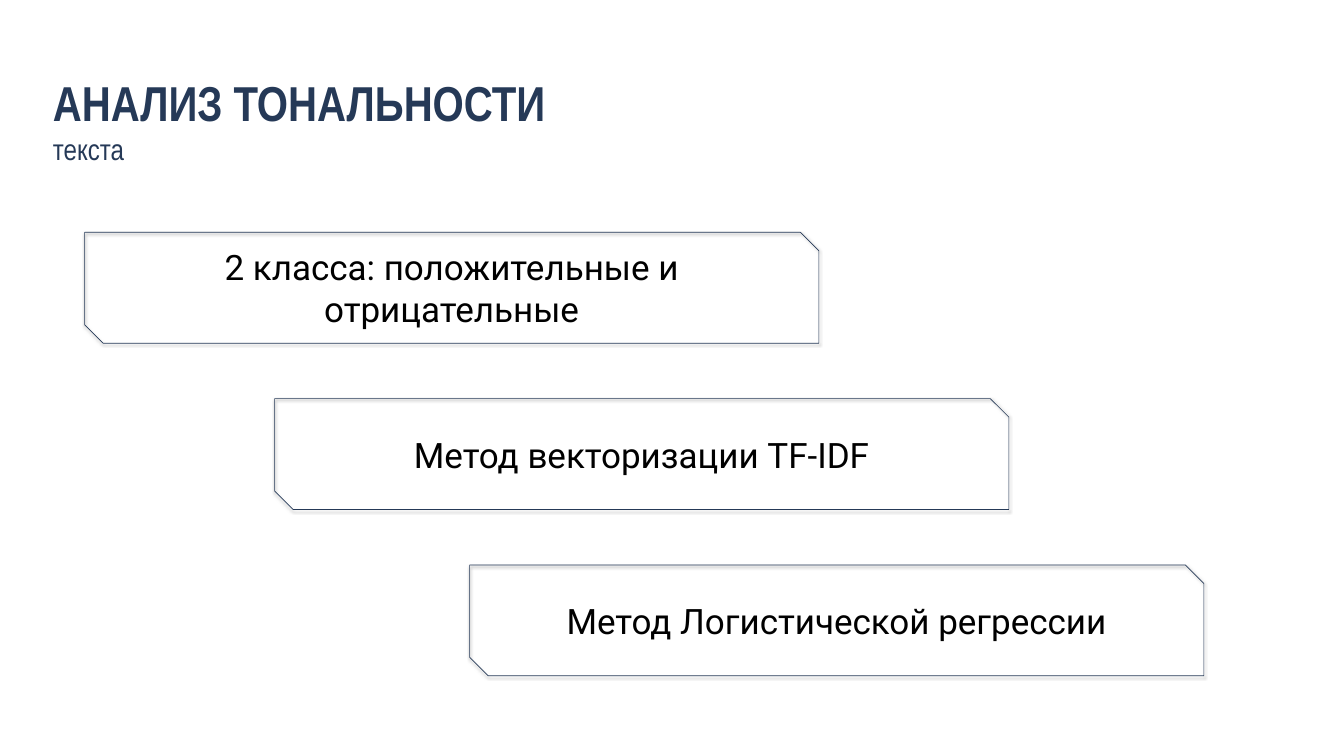
from lxml import etree
from pptx import Presentation
from pptx import util as u
from pptx.dml.color import RGBColor
from pptx.enum import shapes, text
from pptx.oxml.ns import qn

TITLE = ["АНАЛИЗ ТОНАЛЬНОСТИ", "текста"]
STEPS = [  # text, left edge of its card
    ("2 класса: положительные и отрицательные", 1.68),
    ("Метод векторизации TF-IDF", 5.45),
    ("Метод Логистической регрессии", 9.32),
]

THEME = {
    "navy": RGBColor.from_string("253957"),
    "black": RGBColor.from_string("000000"),
    "head": "Arial Narrow",
    "body": "Roboto",
    "sizes": {"title": 70, "sub": 42, "card": 50},
}
WIDE, HIGH = 26.67, 15
CARD_W, CARD_H = 14.57, 2.2
TOP, PITCH = 4.61, 3.3
TEXT_W, TEXT_H = 13.94, 1
PAD = 0.08


def put(slide, box, lines, anchor, align):
    """Add a text box; each line is (words, font values, colour)."""
    frame = slide.shapes.add_textbox(*map(u.Inches, box)).text_frame
    frame.word_wrap = True
    frame.vertical_anchor = anchor
    for side in ("left", "top", "right", "bottom"):
        setattr(frame, f"margin_{side}", u.Inches(PAD))
    for i, (words, form, tint) in enumerate(lines):
        para = frame.add_paragraph() if i else frame.paragraphs[0]
        para.alignment = align
        run = para.add_run()
        run.text = words
        for key, value in form.items():
            setattr(run.font, key, value)
        run.font.color.rgb = tint


def shade(shape):
    """Give the shape a soft black shadow straight below it."""
    shape.shadow.inherit = False
    effects = shape._element.spPr.find(qn("a:effectLst"))
    cast = etree.SubElement(effects, qn("a:outerShdw"), blurRad=str(u.Pt(4)),
                            dist=str(u.Pt(2)), dir="5400000", rotWithShape="0")
    tint = etree.SubElement(cast, qn("a:srgbClr"), val=str(THEME["black"]))
    etree.SubElement(tint, qn("a:alpha"), val="50000")


def card(slide, left, top, words):
    shape = slide.shapes.add_shape(shapes.MSO_SHAPE.SNIP_2_DIAG_RECTANGLE,
                                   *map(u.Inches, (left, top, CARD_W, CARD_H)))
    shape.fill.background()
    shape.line.color.rgb = THEME["navy"]
    shape.line.width = u.Pt(1)
    shade(shape)
    box = (left + (CARD_W - TEXT_W) / 2, top + (CARD_H - TEXT_H) / 2, TEXT_W, TEXT_H)
    form = {"name": THEME["body"], "size": u.Pt(THEME["sizes"]["card"])}
    put(slide, box, [(words, form, THEME["black"])],
        text.MSO_ANCHOR.MIDDLE, text.PP_ALIGN.CENTER)


def main():
    deck = Presentation()
    deck.slide_width, deck.slide_height = u.Inches(WIDE), u.Inches(HIGH)
    slide = deck.slides.add_slide(deck.slide_layouts[6])

    lines = [(words, {"name": THEME["head"], "size": u.Pt(THEME["sizes"][role]),
                      "bold": role == "title"}, THEME["navy"])
             for words, role in zip(TITLE, ("title", "sub"))]
    put(slide, (0.97, 1.36, 23.52, 2.53), lines,
        text.MSO_ANCHOR.TOP, text.PP_ALIGN.LEFT)

    for row, (words, left) in enumerate(STEPS):
        card(slide, left, TOP + row * PITCH, words)
    deck.save("out.pptx")


if __name__ == "__main__":
    main()
